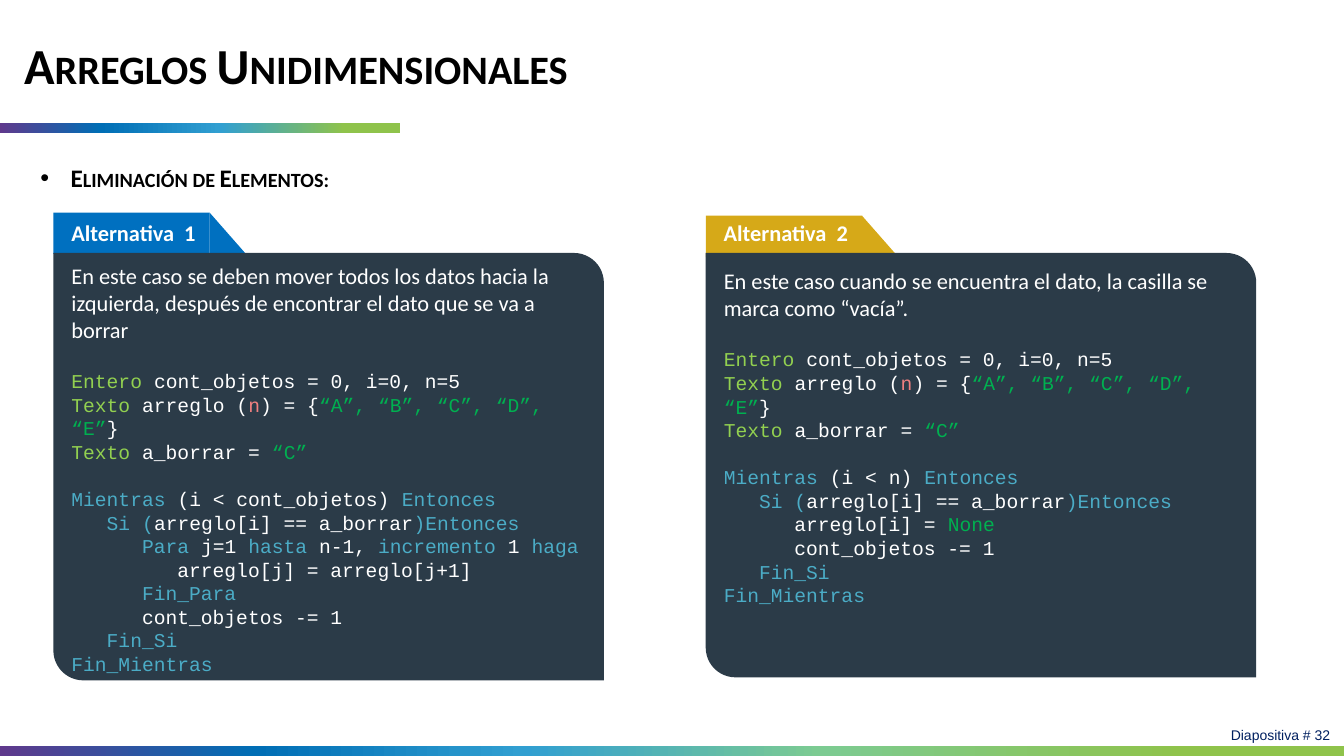
from lxml import etree
from pptx import Presentation
from pptx.dml.color import RGBColor
from pptx.enum.shapes import MSO_SHAPE
from pptx.enum.text import MSO_ANCHOR, MSO_AUTO_SIZE, PP_ALIGN
from pptx.oxml.ns import qn
from pptx.util import Pt

PX = 9144  # EMU per px, 100 px to the inch
SANS, MONO = "Calibri", "Courier New"

BLACK = RGBColor(0x00, 0x00, 0x00)
WHITE = RGBColor(0xFF, 0xFF, 0xFF)
NAVY = RGBColor(0x00, 0x20, 0x60)
SLATE = RGBColor(0x2B, 0x3B, 0x48)
BLUE = RGBColor(0x00, 0x70, 0xC0)
GOLD = RGBColor(0xD6, 0xA9, 0x18)
TYPE = RGBColor(0x92, 0xD0, 0x50)
KEYWORD = RGBColor(0x4B, 0xAC, 0xC6)
VALUE = RGBColor(0x00, 0xB0, 0x50)
SIZE = RGBColor(0xF0, 0x80, 0x80)
PURPLE = RGBColor(0x5F, 0x39, 0x8C)
DEEP_BLUE = RGBColor(0x00, 0x6E, 0xB5)
SKY = RGBColor(0x31, 0x9F, 0xD1)
MINT = RGBColor(0x7C, 0xCB, 0x92)
GREEN = RGBColor(0x8F, 0xC3, 0x4B)

DECLARATIONS = [
    [("Entero ", TYPE), ("cont_objetos = 0, i=0, n=5", WHITE)],
    [("Texto", TYPE), (" arreglo (", WHITE), ("n", SIZE), (") = {", WHITE),
     ("“A”, “B”, “C”, “D”, “E”", VALUE), ("}", WHITE)],
    [("Texto ", TYPE), ("a_borrar = ", WHITE), ("“C”", VALUE)],
]
SHIFT_LEFT = [
    [("      ", WHITE), ("Para ", KEYWORD), ("j=1 ", WHITE), ("hasta", KEYWORD),
     (" n-1, ", WHITE), ("incremento ", KEYWORD), ("1 ", WHITE), ("haga", KEYWORD)],
    [("         arreglo[j] = arreglo[j+1]", WHITE)],
    [("      Fin_Para", KEYWORD)],
]
MARK_EMPTY = [[("      arreglo[i] = ", WHITE), ("None", VALUE)]]


def loop(limit, action):
    """Lines of the search loop that runs up to limit and applies action."""
    return [
        [("Mientras", KEYWORD), (f" (i < {limit}) ", WHITE), ("Entonces", KEYWORD)],
        [("   Si (", KEYWORD), ("arreglo[i] == a_borrar", WHITE), (")Entonces", KEYWORD)],
        *action,
        [("      cont_objetos -= 1", WHITE)],
        [("   Fin_Si", KEYWORD)],
        [("Fin_Mientras", KEYWORD)],
    ]


class Deck:
    def __init__(self):
        self.prs = Presentation()
        self.prs.slide_width, self.prs.slide_height = 1333 * PX, 750 * PX
        self.s = self.prs.slides.add_slide(self.prs.slide_layouts[1])

    def shape(self, kind, x, y, w, h, color=None, adj=(), parent=None):
        shapes = (parent or self.s).shapes
        sp = shapes.add_shape(kind, x * PX, y * PX, w * PX, h * PX)
        sp.shadow.inherit = False
        sp.line.fill.background()
        for i, value in enumerate(adj):
            sp.adjustments[i] = value
        if color is not None:
            sp.fill.solid()
            sp.fill.fore_color.rgb = color
        return sp

    def gradient_bar(self, y, w, stops):
        sp = self.shape(MSO_SHAPE.ROUNDED_RECTANGLE, 0, y, w, 10, adj=[0.07])
        sp.fill.gradient()
        sp.fill.gradient_angle = 0
        gs_list = sp.fill._fill._gradFill.find(qn("a:gsLst"))
        for gs in list(gs_list):
            gs_list.remove(gs)
        for percent, color in stops:
            gs = etree.SubElement(gs_list, qn("a:gs"), pos=str(percent * 1000))
            etree.SubElement(gs, qn("a:srgbClr"), val=str(color))

    def run(self, p, text, size, color, font=SANS, bold=False, small_caps=False):
        r = p.add_run()
        r.text = text
        r.font.name, r.font.size, r.font.bold = font, Pt(size), bold
        r.font.color.rgb = color
        if small_caps:
            r._r.get_or_add_rPr().set("cap", "small")

    def text_box(self, x, y, w, h):
        tf = self.s.shapes.add_textbox(x * PX, y * PX, w * PX, h * PX).text_frame
        tf.word_wrap = True
        return tf

    def placeholder(self, sp, x, y, w, h, anchor):
        sp.left, sp.top, sp.width, sp.height = x * PX, y * PX, w * PX, h * PX
        tf = sp.text_frame
        tf.auto_size, tf.vertical_anchor = MSO_AUTO_SIZE.NONE, anchor
        p = tf.paragraphs[0]
        p.alignment, p.space_before = PP_ALIGN.LEFT, Pt(0)
        return p

    def title(self, text):
        p = self.placeholder(self.s.shapes.title, 14, 0, 943, 135, MSO_ANCHOR.MIDDLE)
        p.line_spacing = 0.9
        self.run(p, text, 36, BLACK, bold=True, small_caps=True)

    def bullet(self, text):
        p = self.placeholder(self.s.placeholders[1], 30, 156, 432, 60, MSO_ANCHOR.TOP)
        pPr = p._p.get_or_add_pPr()
        pPr.set("marL", str(30 * PX))
        pPr.set("indent", str(-30 * PX))
        etree.SubElement(pPr, qn("a:buFont"), typeface="Arial")
        etree.SubElement(pPr, qn("a:buChar"), char="•")
        self.run(p, text, 18, BLACK, bold=True, small_caps=True)

    def tab(self, x, y, color, label):
        group = self.s.shapes.add_group_shape()
        self.shape(MSO_SHAPE.RECTANGLE, x, y, 155, 41, color, parent=group)
        self.shape(MSO_SHAPE.ISOSCELES_TRIANGLE, x + 155, y, 36, 41, color, [0], group)
        tf = self.text_box(x + 8, 212, 147, 37)
        self.run(tf.paragraphs[0], label, 16, WHITE, bold=True)

    def panel(self, x, h, text_y, intro, blocks):
        self.shape(MSO_SHAPE.ROUND_2_DIAG_RECTANGLE, x, 251, 546, h, SLATE, [0, 0.07])
        tf = self.text_box(x + 8, text_y, 538, 251 + h - text_y)
        self.run(tf.paragraphs[0], intro, 16, WHITE)
        for gap, lines in zip((19, 17), blocks):
            for i, line in enumerate(lines):
                p = tf.add_paragraph()
                p.space_before = Pt(0 if i else gap)
                for text, color in line:
                    self.run(p, text, 14, color, MONO)

    def slide_number(self, text):
        p = self.text_box(1192, 716, 137, 28).paragraphs[0]
        p.alignment = PP_ALIGN.RIGHT
        self.run(p, text, 10, NAVY, "Arial")


def main():
    deck = Deck()
    deck.gradient_bar(122, 397, [(0, PURPLE), (25, DEEP_BLUE), (55, SKY), (86, GREEN)])
    deck.gradient_bar(740, 1333, [(0, PURPLE), (19, DEEP_BLUE), (39, SKY),
                                  (61, MINT), (88, GREEN)])
    deck.slide_number("Diapositiva # 32")
    deck.title("Arreglos Unidimensionales")
    deck.bullet("Eliminación de Elementos:")
    deck.tab(53, 211, BLUE, "Alternativa  1")
    deck.tab(700, 214, GOLD, "Alternativa  2")
    deck.panel(53, 424, 255,
               "En este caso se deben mover todos los datos hacia la izquierda, "
               "después de encontrar el dato que se va a borrar",
               [DECLARATIONS, loop("cont_objetos", SHIFT_LEFT)])
    deck.panel(700, 421, 260,
               "En este caso cuando se encuentra el dato, la casilla se marca como “vacía”.",
               [DECLARATIONS, loop("n", MARK_EMPTY)])
    deck.prs.save("out.pptx")


if __name__ == "__main__":
    main()
